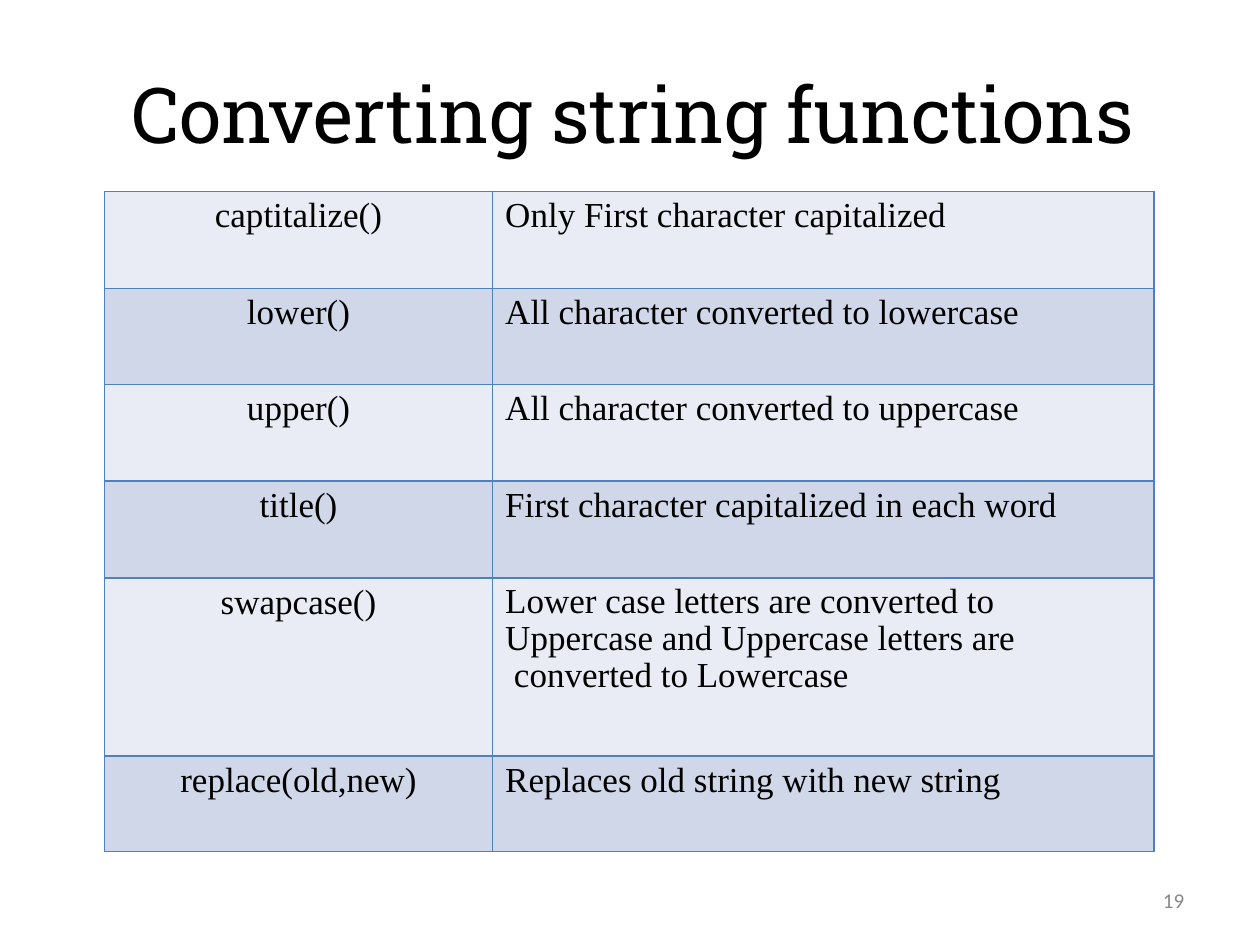
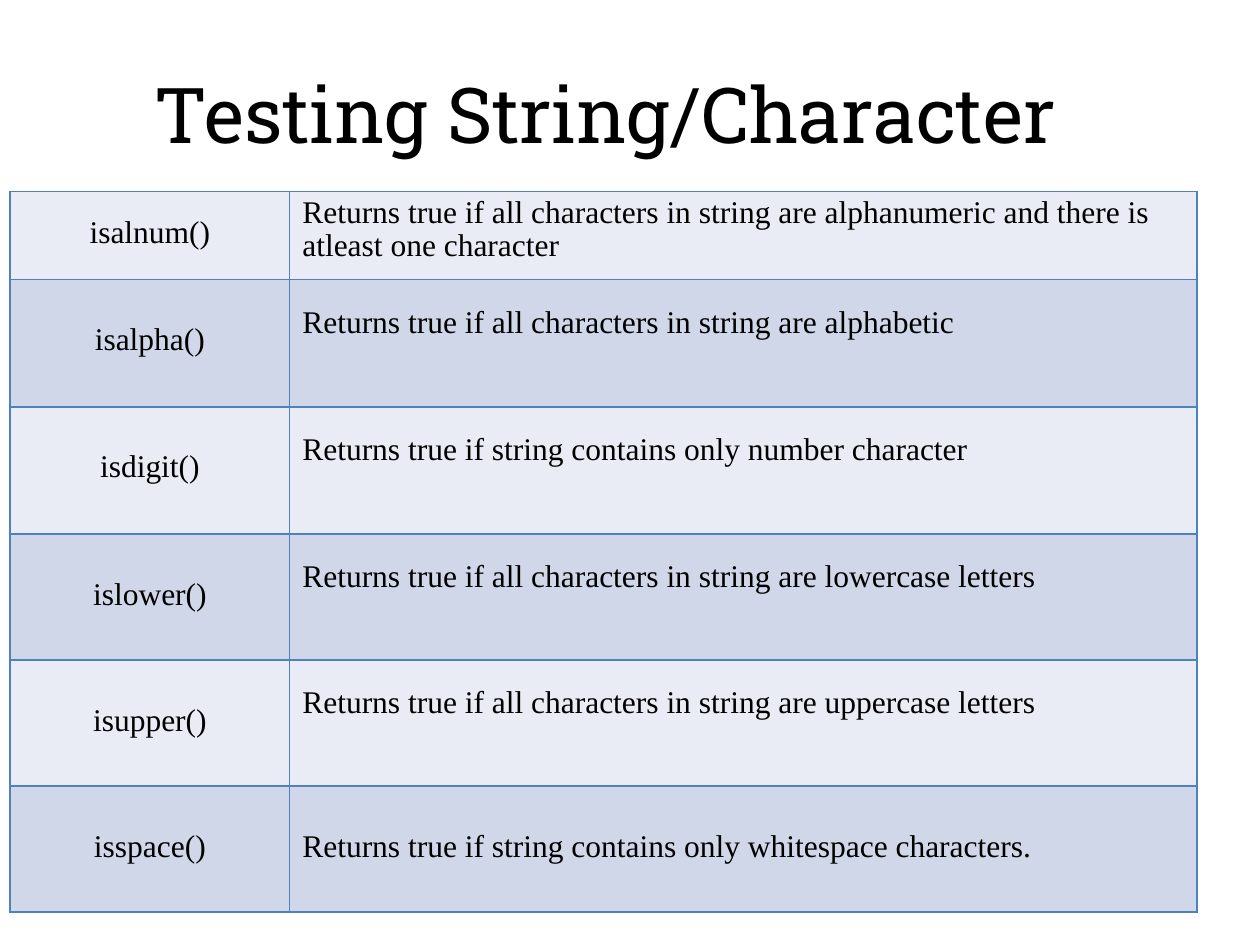
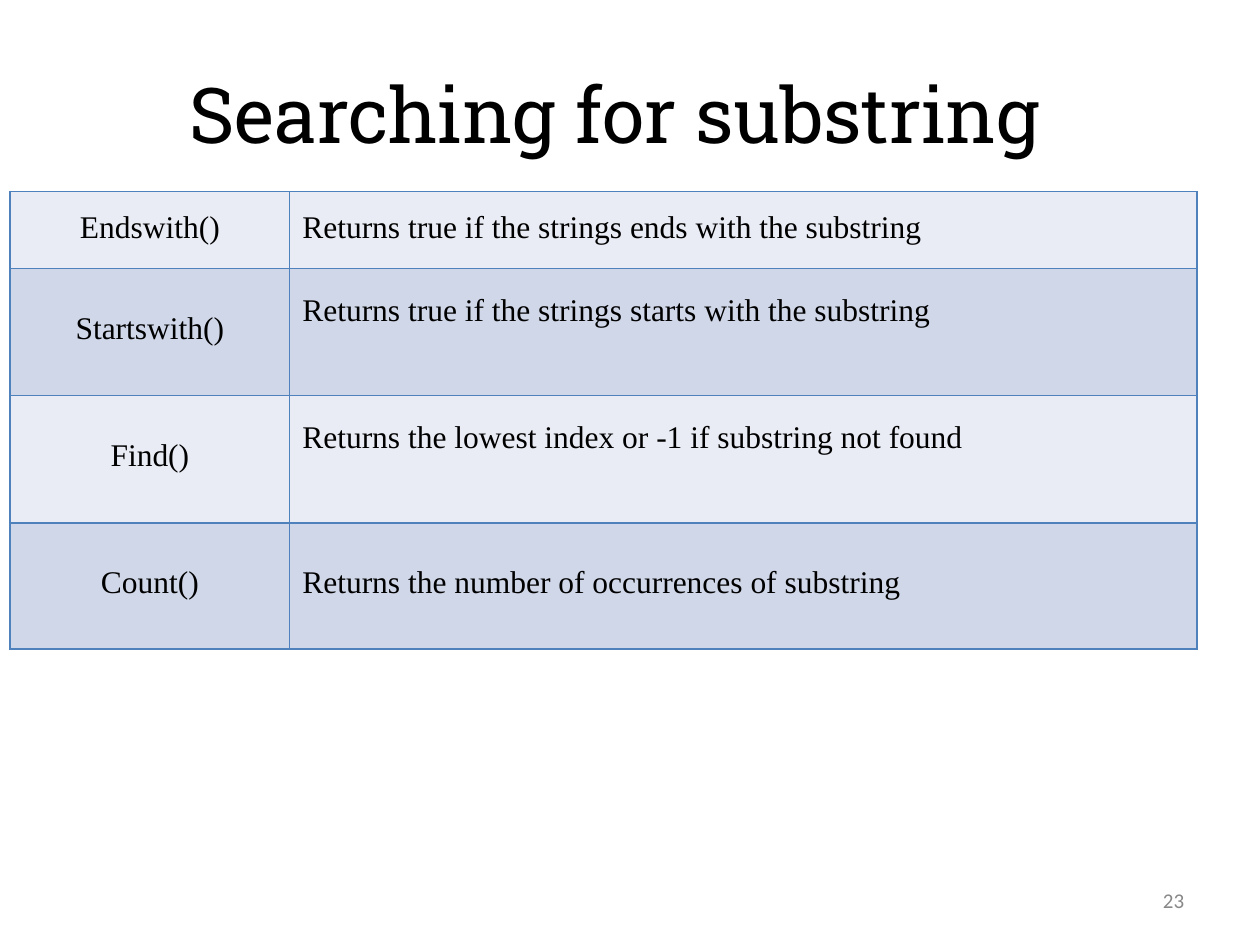
from lxml import etree
from pptx import Presentation
from pptx.dml.color import RGBColor
from pptx.enum.text import MSO_ANCHOR, MSO_AUTO_SIZE, PP_ALIGN
from pptx.oxml.ns import qn
from pptx.util import Inches, Pt

TOP = MSO_ANCHOR.TOP
NO_FIT = MSO_AUTO_SIZE.NONE
LEFT, CENTER = PP_ALIGN.LEFT, PP_ALIGN.CENTER

COLORS = {
    "text": "000000",
    "number": "888888",
    "border": "4F81BC",
    "light_row": "E9ECF4",
    "dark_row": "D0D7E8",
}
TITLE_FONT, TABLE_FONT, NUMBER_FONT = "Roboto Slab", "Times New Roman", "Calibri"
PAGE_WIDTH, PAGE_HEIGHT = 10, 7.5
TITLE_TOP, TITLE_HEIGHT = 0.52, 0.76
TABLE_TOP = 1.52
TITLE_ONLY = 5

# Distances from the top of a cell to its text
NEAR, UPPER, LOWER = 0.04, 0.2, 0.34

# Rows: height, function, its top gap, description, its top gap
CONVERTING = [
    (0.77, "captitalize()", NEAR, "Only First character capitalized", NEAR),
    (0.76, "lower()", NEAR, "All character converted to lowercase", NEAR),
    (0.77, "upper()", NEAR, "All character converted to uppercase", NEAR),
    (0.77, "title()", NEAR, "First character capitalized in each word", NEAR),
    (1.41, "swapcase()", NEAR,
     "Lower case letters are converted to\vUppercase and Uppercase letters are"
     "\v converted to Lowercase", NEAR),
    (0.76, "replace(old,new)", NEAR, "Replaces old string with new string", NEAR),
]
TESTING = [
    (0.7, "isalnum()", 0.19,
     "Returns true if all characters in string are alphanumeric and there is\n"
     "atleast one character", NEAR),
    (1.01, "isalpha()", LOWER,
     "Returns true if all characters in string are alphabetic", UPPER),
    (1.01, "isdigit()", LOWER,
     "Returns true if string contains only number character", UPPER),
    (1, "islower()", LOWER,
     "Returns true if all characters in string are lowercase letters", UPPER),
    (1, "isupper()", LOWER,
     "Returns true if all characters in string are uppercase letters", UPPER),
    (1, "isspace()", LOWER,
     "Returns true if string contains only whitespace characters.", LOWER),
]
SEARCHING = [
    (0.61, "Endswith()", 0.15,
     "Returns true if the strings ends with the substring", 0.15),
    (1.01, "Startswith()", LOWER,
     "Returns true if the strings starts with the substring", UPPER),
    (1.01, "Find()", LOWER,
     "Returns the lowest index or -1 if substring not found", UPPER),
    (1, "Count()", LOWER, "Returns the number of occurrences of substring", LOWER),
]


def style_para(para, font, size, color, align=LEFT):
    para.alignment = align
    para.font.name = font
    para.font.size = Pt(size)
    para.font.color.rgb = RGBColor.from_string(COLORS[color])


def set_insets(target, left=0, top=0):
    target.margin_left, target.margin_top = Inches(left), Inches(top)
    target.margin_right = target.margin_bottom = 0


def add_title(page, text, left):
    """Title box centred on the page, with left-aligned text."""
    title = page.shapes.title
    title.left, title.top = Inches(left), Inches(TITLE_TOP)
    title.width, title.height = Inches(PAGE_WIDTH - 2 * left), Inches(TITLE_HEIGHT)
    frame = title.text_frame
    frame.text = text
    frame.auto_size = NO_FIT
    frame.vertical_anchor = TOP
    set_insets(frame, 0.16, 0.01)
    style_para(frame.paragraphs[0], TITLE_FONT, 44, "text")


def add_page_number(page, number):
    box = page.shapes.add_textbox(Inches(9.2), Inches(7.07), Inches(0.23), Inches(0.19))
    frame = box.text_frame
    frame.word_wrap = True
    set_insets(frame, 0.03)
    frame.text = number
    para = frame.paragraphs[0]
    para.line_spacing = Pt(12.4)
    style_para(para, NUMBER_FONT, 12, "number")


def add_borders(cell):
    properties = cell._tc.get_or_add_tcPr()
    for side in ("a:lnL", "a:lnR", "a:lnT", "a:lnB"):
        line = etree.SubElement(properties, qn(side), w=str(Pt(1)))
        fill = etree.SubElement(line, qn("a:solidFill"))
        etree.SubElement(fill, qn("a:srgbClr"), val=COLORS["border"])


def fill_cell(cell, text, left, top, size, align, color):
    add_borders(cell)
    cell.fill.solid()
    cell.fill.fore_color.rgb = RGBColor.from_string(COLORS[color])
    cell.vertical_anchor = TOP
    set_insets(cell, left, top)
    cell.text_frame.text = text
    several_lines = "\n" in text or "\v" in text
    for para in cell.text_frame.paragraphs:
        if several_lines:
            para.line_spacing = 0.96
        style_para(para, TABLE_FONT, size, "text", align)


def add_function_table(page, rows, left, widths, size):
    """Function names in the first column, what they do in the second."""
    height = sum(row[0] for row in rows)
    table = page.shapes.add_table(
        len(rows), len(widths), Inches(left), Inches(TABLE_TOP),
        Inches(sum(widths)), Inches(height)).table
    table.first_row = table.horz_banding = False
    for column, width in zip(table.columns, widths):
        column.width = Inches(width)
    for index, (row_height, name, name_top, meaning, meaning_top) in enumerate(rows):
        table.rows[index].height = Inches(row_height)
        color = "dark_row" if index % 2 else "light_row"
        fill_cell(table.cell(index, 0), name, 0, name_top, size, CENTER, color)
        fill_cell(table.cell(index, 1), meaning, 0.1, meaning_top, size, LEFT, color)


def add_function_page(deck, title, title_left, rows, table_left, widths, size,
                      number=None):
    page = deck.slides.add_slide(deck.slide_layouts[TITLE_ONLY])
    add_title(page, title, title_left)
    if number:
        add_page_number(page, number)
    add_function_table(page, rows, table_left, widths, size)


def main():
    deck = Presentation()
    deck.slide_width, deck.slide_height = Inches(PAGE_WIDTH), Inches(PAGE_HEIGHT)
    wide_table = (0.08, (2.22, 7.2), 18)
    add_function_page(deck, "Converting string functions", 0.88, CONVERTING,
                      0.83, (3.08, 5.25), 20, "19")
    add_function_page(deck, "Testing String/Character", 1.07, TESTING, *wide_table)
    add_function_page(deck, "Searching for substring", 1.34, SEARCHING, *wide_table, "23")
    deck.save("out.pptx")


if __name__ == "__main__":
    main()
